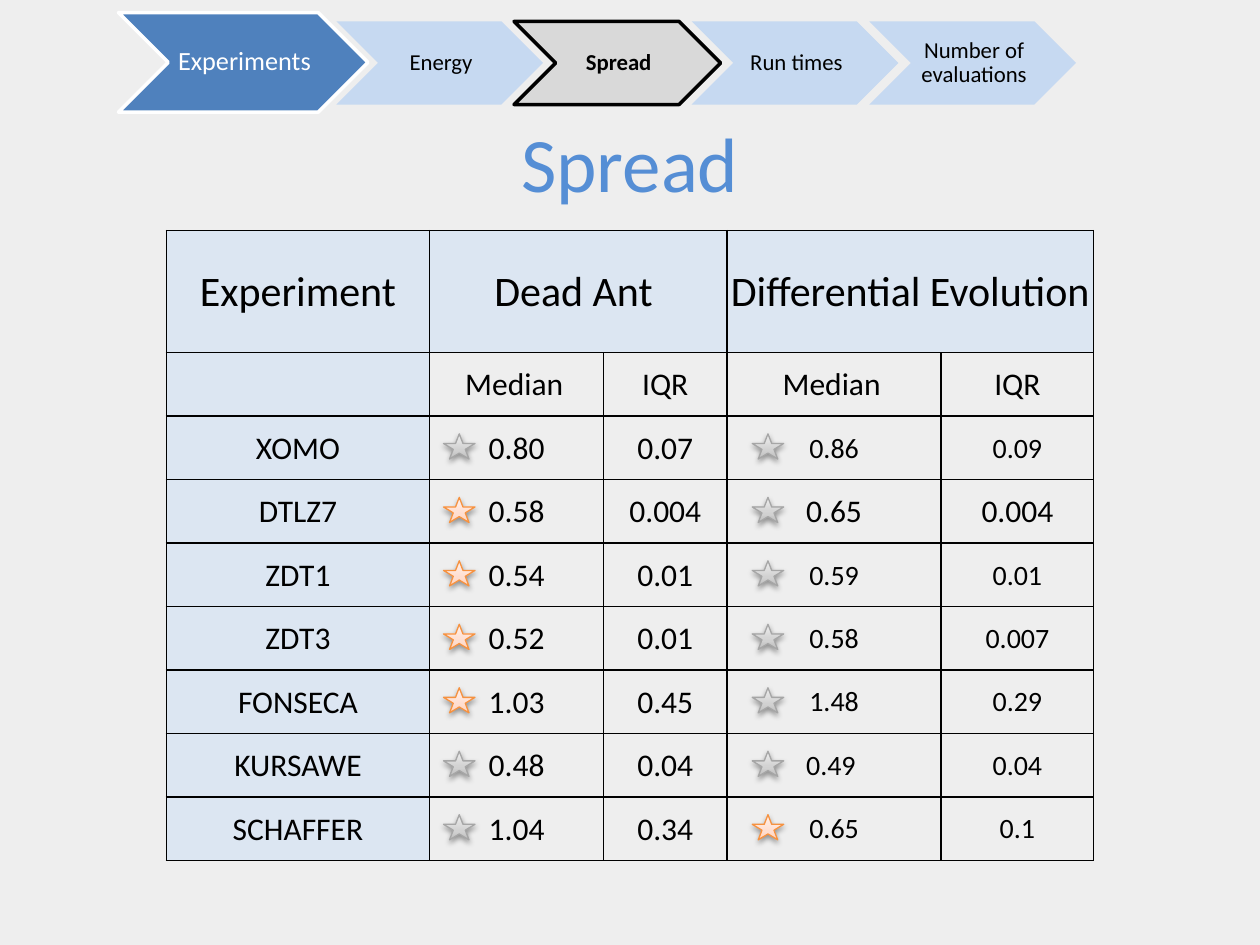
from dataclasses import dataclass

from pptx import Presentation
from pptx import util as u
from pptx.dml.color import RGBColor
from pptx.enum import shapes, text
from pptx.oxml import parse_xml
from pptx.oxml.ns import nsdecls, qn

FONT, BLACK, PALE, HEADER = "Calibri", "000000", "C6D9F1", "DCE6F2"
TABLE_LEFT, TABLE_TOP, TABLE_HEIGHT = 1.32, 1.83, 5
COLUMNS = [2.09, 1.38, 0.98, 1.7, 1.21]
HEAD_HEIGHT = 0.97
STEP_PITCH = 1.41


@dataclass(frozen=True)
class Step:
    """A chevron of the navigation strip."""
    label: str
    left: float
    top: float = 0.17
    width: float = 1.64
    height: float = 0.66
    fill: str = PALE
    line: str = ""
    size: float = 13
    color: str = BLACK
    bold: bool = False


@dataclass(frozen=True)
class StarStyle:
    """Gradient from base to tip, and outline, of a star."""
    gradient: tuple[str, str, str]
    line: str


@dataclass(frozen=True)
class Result:
    """Measurements of one experiment, with the winning method."""
    name: str
    values: tuple[str, str, str, str]
    winner: str = ""
    evolution_size: float = 16


SILVER = StarStyle(("BDBDBD", "D1D1D1", "EEEEEE"), "A6A6A6")
ORANGE = StarStyle(("FFD2BD", "FFDED0", "FFF2ED"), "F69240")

STEPS = [
    Step("Experiments", 0.94, 0.1, 1.98, 0.79, "4F81BD", "FFFFFF", 15, "FFFFFF"),
    Step("Energy", 2.67),
    Step("Spread", 2.67 + STEP_PITCH, fill="D9D9D9", line=BLACK, bold=True),
    Step("Run times", 2.67 + 2 * STEP_PITCH),
    Step("Number of evaluations", 2.67 + 3 * STEP_PITCH),
]

RESULTS = [
    Result("XOMO", ("0.80", "0.07", "0.86", "0.09")),
    Result("DTLZ7", ("0.58", "0.004", "0.65", "0.004"), "ant", 18),
    Result("ZDT1", ("0.54", "0.01", "0.59", "0.01"), "ant"),
    Result("ZDT3", ("0.52", "0.01", "0.58", "0.007"), "ant"),
    Result("FONSECA", ("1.03", "0.45", "1.48", "0.29"), "ant"),
    Result("KURSAWE", ("0.48", "0.04", "0.49\u00a0".replace("\u00a0", " "), "0.04")),
    Result("SCHAFFER", ("1.04", "0.34", "0.65", "0.1"), "evolution"),
]
ROW_HEIGHT = (TABLE_HEIGHT - HEAD_HEIGHT) / (len(RESULTS) + 1)


def rgb(color: str) -> RGBColor:
    """Turn a hex string into a colour."""
    return RGBColor.from_string(color)


def box(left: float, top: float, width: float, height: float) -> list[u.Length]:
    """Turn inches into the four lengths of a frame."""
    return [u.Inches(value) for value in (left, top, width, height)]


def set_margins(target, left: float, top: float, right: float, bottom: float) -> None:
    """Set the inner margins of a cell or text frame."""
    target.margin_left, target.margin_top, target.margin_right, target.margin_bottom = box(
        left, top, right, bottom)


def add_run(paragraph, words: str, size: float, color: str = BLACK, bold: bool = False) -> None:
    """Add a run to a centred paragraph."""
    paragraph.alignment = text.PP_ALIGN.CENTER
    run = paragraph.add_run()
    run.text = words
    run.font.name, run.font.size, run.font.bold = FONT, u.Pt(size), bold
    run.font.color.rgb = rgb(color)


def add_label(parent, frame: list[u.Length]):
    """Add a wrapping, vertically centred text box and return its text frame."""
    text_frame = parent.add_textbox(*frame).text_frame
    text_frame.word_wrap = True
    text_frame.vertical_anchor = text.MSO_ANCHOR.MIDDLE
    return text_frame


def add_step(slide, step: Step) -> None:
    """Draw a chevron grouped with its label."""
    group = slide.shapes.add_group_shape().shapes
    chevron = group.add_shape(
        shapes.MSO_SHAPE.CHEVRON, *box(step.left, step.top, step.width, step.height))
    chevron.shadow.inherit = False
    chevron.fill.solid()
    chevron.fill.fore_color.rgb = rgb(step.fill)
    if step.line:
        chevron.line.color.rgb = rgb(step.line)
        chevron.line.width = u.Pt(2)
    else:
        chevron.line.fill.background()
    label = add_label(group, box(
        step.left + step.height / 2, step.top, step.width - step.height, step.height))
    set_margins(label, 0.02, 0.01, 0, 0.01)
    label.paragraphs[0].line_spacing = 0.9
    add_run(label.paragraphs[0], step.label, step.size, step.color, step.bold)


def add_star(slide, left: float, top: float, style: StarStyle) -> None:
    """Draw a small star with a gradient and a soft shadow."""
    star = slide.shapes.add_shape(shapes.MSO_SHAPE.STAR_5_POINT, *box(left, top, 0.25, 0.2))
    properties = star.fill._xPr
    stops = "".join(
        f'<a:gs pos="{position}"><a:srgbClr val="{color}"/></a:gs>'
        for position, color in zip((0, 35000, 100000), style.gradient))
    properties.find(qn("a:prstGeom")).addnext(parse_xml(
        f'<a:gradFill {nsdecls("a")} rotWithShape="1"><a:gsLst>{stops}</a:gsLst>'
        '<a:lin ang="16200000" scaled="1"/></a:gradFill>'))
    star.line.color.rgb = rgb(style.line)
    star.line.width = u.Pt(0.75)
    properties.append(parse_xml(
        f'<a:effectLst {nsdecls("a")}><a:outerShdw blurRad="{u.Pt(3.1)}" dist="{u.Pt(1.6)}" '
        'dir="5400000" rotWithShape="0"><a:srgbClr val="000000"><a:alpha val="38000"/>'
        '</a:srgbClr></a:outerShdw></a:effectLst>'))


def style_cell(cell, fill: str = "") -> None:
    """Give a cell black borders, narrow margins and an optional fill."""
    set_margins(cell, 0.01, 0.01, 0.01, 0)
    cell.vertical_anchor = text.MSO_ANCHOR.MIDDLE
    for side in "LRTB":
        cell._tc.get_or_add_tcPr().append(parse_xml(
            f'<a:ln{side} {nsdecls("a")} w="{u.Pt(1)}"><a:solidFill>'
            f'<a:srgbClr val="{BLACK}"/></a:solidFill></a:ln{side}>'))
    if fill:
        cell.fill.solid()
        cell.fill.fore_color.rgb = rgb(fill)
    else:
        cell.fill.background()


def add_results(slide) -> None:
    """Draw the table of medians and interquartile ranges."""
    table = slide.shapes.add_table(len(RESULTS) + 2, len(COLUMNS), *box(
        TABLE_LEFT, TABLE_TOP, sum(COLUMNS), TABLE_HEIGHT)).table
    table.first_row = table.horz_banding = False
    for column, width in zip(table.columns, COLUMNS):
        column.width = u.Inches(width)
    for index, row in enumerate(table.rows):
        row.height = u.Inches(ROW_HEIGHT if index else HEAD_HEIGHT)
        for position, cell in enumerate(row.cells):
            style_cell(cell, HEADER if index == 0 or position == 0 else "")
    for column, heading in ((0, "Experiment"), (1, "Dead Ant "), (3, "Differential Evolution")):
        cell = table.cell(0, column)
        if column:
            cell.merge(table.cell(0, column + 1))
            median = table.cell(1, column).text_frame.paragraphs[0]
            add_run(median, "Median", 18)
            add_run(median, " ", 12)
            add_run(table.cell(1, column + 1).text_frame.paragraphs[0], "IQR", 18)
        add_run(cell.text_frame.paragraphs[0], heading, 24)
    for index, result in enumerate(RESULTS, start=2):
        for column, words in enumerate((result.name, *result.values)):
            size = result.evolution_size if column > 2 else 18
            add_run(table.cell(index, column).text_frame.paragraphs[0], words, size)


def add_stars(slide) -> None:
    """Mark each median, in orange for the winning method."""
    for method, column, inset in (("ant", 1, 0.11), ("evolution", 3, 0.2)):
        left = TABLE_LEFT + sum(COLUMNS[:column]) + inset
        for index, result in enumerate(RESULTS):
            top = TABLE_TOP + HEAD_HEIGHT + (index + 1) * ROW_HEIGHT + 0.14
            add_star(slide, left, top, ORANGE if result.winner == method else SILVER)


def main() -> None:
    """Build the slide and save it."""
    presentation = Presentation()
    presentation.slide_width, presentation.slide_height = u.Inches(10), u.Inches(7.5)
    slide = presentation.slides.add_slide(presentation.slide_layouts[6])
    slide.background.fill.solid()
    slide.background.fill.fore_color.rgb = rgb("EEEEEE")
    add_results(slide)
    add_stars(slide)
    title = add_label(slide.shapes, box(0.5, 0.66, 9, 1.25))
    add_run(title.paragraphs[0], "Spread", 44, "558ED5")
    for step in STEPS:
        add_step(slide, step)
    presentation.save("out.pptx")


if __name__ == "__main__":
    main()
